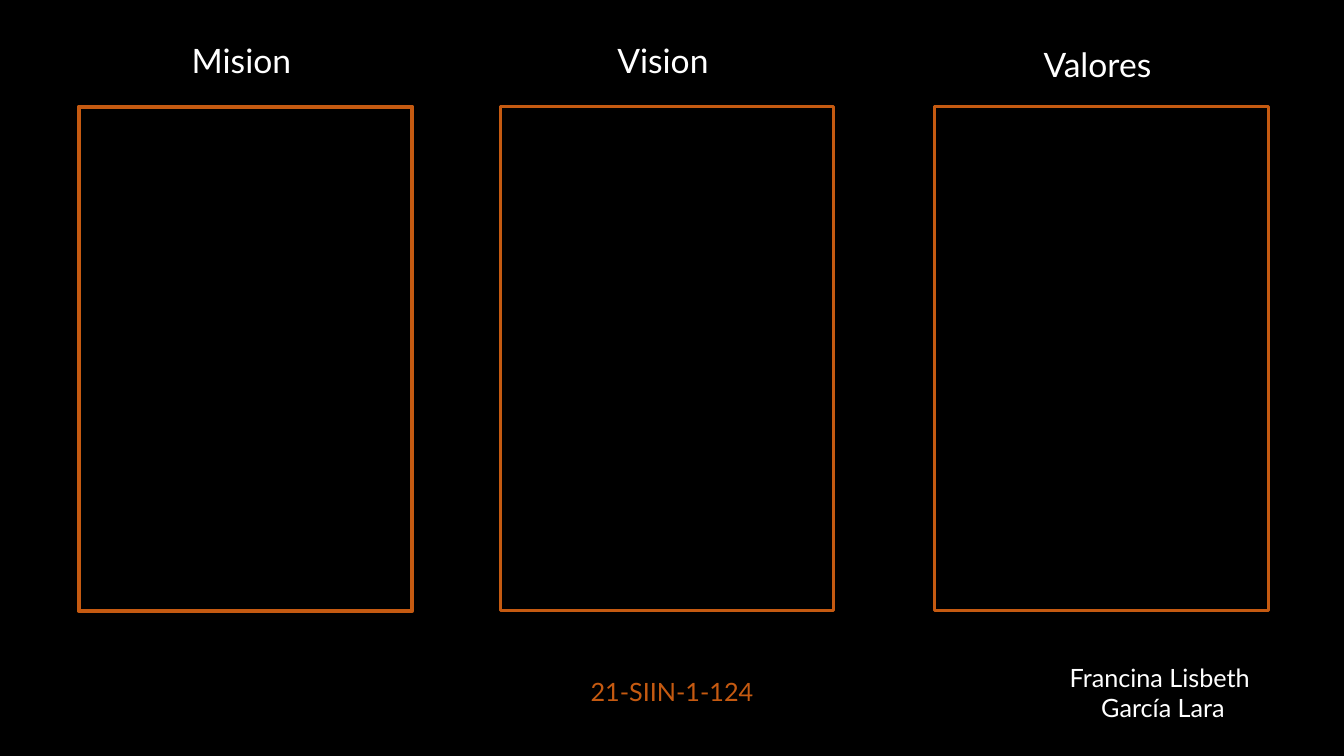
from dataclasses import dataclass

from pptx import Presentation
from pptx import util as u
from pptx.dml.color import RGBColor
from pptx.enum import shapes, text


@dataclass(frozen=True)
class Theme:
    background: RGBColor = RGBColor(0, 0, 0)
    light: RGBColor = RGBColor(255, 255, 255)
    accent: RGBColor = RGBColor(0xC5, 0x5A, 0x11)
    font: str = "Lato"
    heading_size: int = 24
    footer_size: int = 18


THEME = Theme()
FRAME_TOP, FRAME_WIDTH, FRAME_HEIGHT = 1.06, 3.31, 5
COLUMNS = [
    ("Mision", 0.78, 0.35, 3),
    ("Vision", 4.96, 0.35, 2.25),
    ("Valores", 9.27, 0.39, 2.25),
]


def add_label(page, bounds, lines, size, color):
    box = page.shapes.add_textbox(*map(u.Inches, bounds))
    frame = box.text_frame
    frame.word_wrap = True
    frame.auto_size = text.MSO_AUTO_SIZE.SHAPE_TO_FIT_TEXT
    frame.text = lines
    for para in frame.paragraphs:
        para.alignment = text.PP_ALIGN.CENTER
        for span in para.runs:
            span.font.name = THEME.font
            span.font.size = u.Pt(size)
            span.font.color.rgb = color


def add_column(page, title, left, title_top, line_width):
    bounds = (left, FRAME_TOP, FRAME_WIDTH, FRAME_HEIGHT)
    panel = page.shapes.add_shape(
        shapes.MSO_SHAPE.RECTANGLE, *map(u.Inches, bounds))
    panel.shadow.inherit = False
    panel.fill.background()
    panel.line.color.rgb = THEME.accent
    panel.line.width = u.Pt(line_width)
    add_label(page, (left, title_top, 3.23, 0.5), title,
              THEME.heading_size, THEME.light)


def add_footer(page, left, top):
    add_label(page, (left, top + 0.14, 1.97, 0.4), "21-SIIN-1-124",
              THEME.footer_size, THEME.accent)
    add_label(page, (left + 4.24, top, 3.23, 0.71),
              "Francina Lisbeth \nGarcía Lara",
              THEME.footer_size, THEME.light)


def main():
    deck = Presentation()
    deck.slide_width = u.Inches(13.33)
    deck.slide_height = u.Inches(7.5)
    page = deck.slides.add_slide(deck.slide_layouts[6])
    page.background.fill.solid()
    page.background.fill.fore_color.rgb = THEME.background
    for column in COLUMNS:
        add_column(page, *column)
    add_footer(page, 5.68, 6.52)
    deck.save("out.pptx")


if __name__ == "__main__":
    main()
